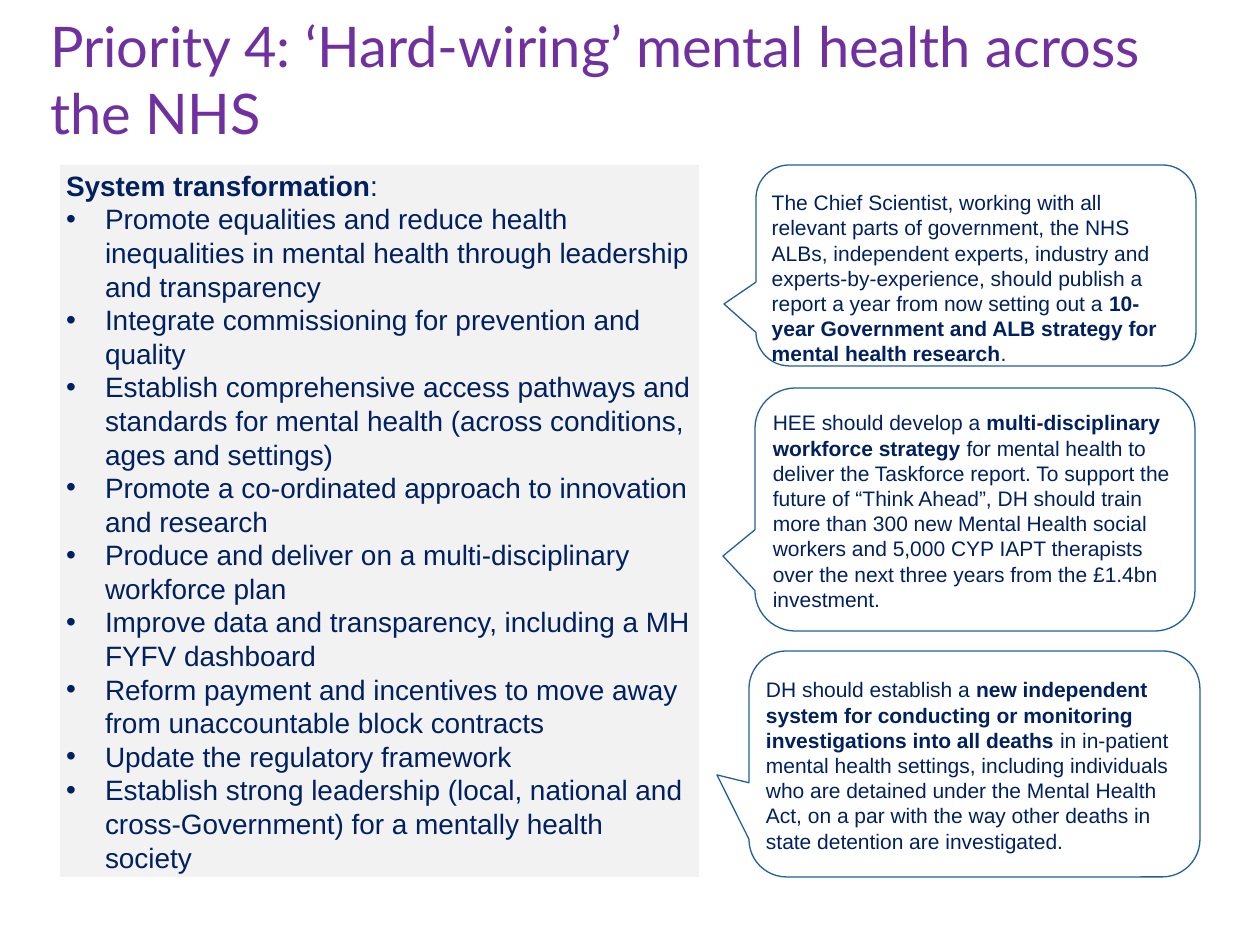
from lxml import etree
from pptx import Presentation
from pptx.dml.color import RGBColor
from pptx.enum.shapes import MSO_SHAPE
from pptx.enum.text import MSO_ANCHOR, MSO_AUTO_SIZE, PP_ALIGN
from pptx.oxml.ns import qn
from pptx.util import Emu, Pt

RECT = MSO_SHAPE.RECTANGLE
BUBBLE = MSO_SHAPE.ROUNDED_RECTANGULAR_CALLOUT
TOP, MIDDLE = MSO_ANCHOR.TOP, MSO_ANCHOR.MIDDLE
LEFT = PP_ALIGN.LEFT
FIXED = MSO_AUTO_SIZE.NONE
NAVY, BLUE, PURPLE = "002060", "1F5FA0", "7030A0"


def px(n):
    """Turn pixels, 126 to the inch, into EMU."""
    return Emu(n * 914400 // 126)


def write(para, parts, font, size, color):
    """Add (text, bold) parts to a left-aligned paragraph."""
    para.alignment = LEFT
    for text, bold in parts:
        run = para.add_run()
        run.text = text
        look = {"name": font, "size": Pt(size), "bold": bold}
        for key, value in look.items():
            setattr(run.font, key, value)
        run.font.color.rgb = RGBColor.from_string(color)


items = [
    "Promote equalities and reduce health inequalities in mental health "
    "through leadership and transparency",
    "Integrate commissioning for prevention and quality",
    "Establish comprehensive access pathways and standards for mental health "
    "(across conditions, ages and settings)",
    "Promote a co-ordinated approach to innovation and research",
    "Produce and deliver on a multi-disciplinary workforce plan",
    "Improve data and transparency, including a MH FYFV dashboard",
    "Reform payment and incentives to move away from unaccountable block "
    "contracts",
    "Update the regulatory framework",
    "Establish strong leadership (local, national and cross-Government) for a "
    "mentally health society",
]

# left, top, width, height; tip x, y; top inset; text parts
bubbles = [
    ((756, 165, 440, 201), (724, 304), 15, [
        ("The Chief Scientist, working with all relevant parts of government, "
         "the NHS ALBs, independent experts, industry and "
         "experts-by-experience, should publish a report a year from now "
         "setting out a ", False),
        ("10-year Government and ALB strategy for mental health research",
         True),
        (".", False)]),
    ((755, 388, 440, 243), (723, 556), 10, [
        ("HEE should develop a ", False),
        ("multi-disciplinary workforce strategy ", True),
        ("for mental health to deliver the Taskforce report. To support the "
         "future of “Think Ahead”, DH should train more than 300 new Mental "
         "Health social workers and 5,000 CYP IAPT therapists over the next "
         "three years from the £1.4bn investment.", False)]),
    ((749, 651, 451, 226), (717, 775), 15, [
        ("DH should establish a ", False),
        ("new independent system for conducting or monitoring investigations "
         "into all deaths ", True),
        ("in in-patient mental health settings, including individuals who are "
         "detained under the Mental Health Act, on a par with the way other "
         "deaths in state detention are investigated.", False)]),
]

deck = Presentation()
deck.slide_width, deck.slide_height = px(1260), px(945)
slide = deck.slides.add_slide(deck.slide_layouts[5])

# Title
title = slide.shapes.title
place = {"left": 44, "top": 6, "width": 1145, "height": 146}
for key, value in place.items():
    setattr(title, key, px(value))
write(title.text_frame.paragraphs[0],
      [("Priority 4: ‘Hard-wiring’ mental health across the NHS", False)],
      "Lato", 32, PURPLE)

# Panel with the list
panel = slide.shapes.add_shape(RECT, *map(px, (60, 165, 639, 712)))
panel.shadow.inherit = False
panel.fill.solid()
panel.fill.fore_color.rgb = RGBColor.from_string("F2F2F2")
panel.line.fill.background()
body = panel.text_frame
write(body.paragraphs[0], [("System transformation", True), (":", False)],
      "Arial", 16, NAVY)
for item in items:
    para = body.add_paragraph()
    props = para._p.get_or_add_pPr()
    props.set("marL", str(px(39)))
    props.set("indent", str(-px(39)))
    etree.SubElement(props, qn("a:buFont")).set("typeface", "Arial")
    etree.SubElement(props, qn("a:buChar")).set("char", "•")
    write(para, [(item, False)], "Arial", 16, NAVY)

frames = [(title.text_frame, MIDDLE, 6), (body, MIDDLE, 6)]

# Speech bubbles
for box, tip, gap, parts in bubbles:
    left, top, width, height = box
    shape = slide.shapes.add_shape(BUBBLE, *map(px, box))
    shape.shadow.inherit = False
    shape.adjustments[0] = (tip[0] - left) / width - 0.5
    shape.adjustments[1] = (tip[1] - top) / height - 0.5
    shape.fill.solid()
    shape.fill.fore_color.rgb = RGBColor.from_string("FFFFFF")
    shape.line.color.rgb = RGBColor.from_string(BLUE)
    shape.line.width = Pt(0.75)
    write(shape.text_frame.paragraphs[0], parts, "Arial", 12, NAVY)
    frames.append((shape.text_frame, TOP, gap))

for frame, anchor, gap in frames:
    look = {"word_wrap": True, "auto_size": FIXED, "vertical_anchor": anchor,
            "margin_left": px(6), "margin_right": px(6),
            "margin_top": px(gap), "margin_bottom": px(0 if anchor == TOP else 6)}
    for key, value in look.items():
        setattr(frame, key, value)

deck.save("out.pptx")
